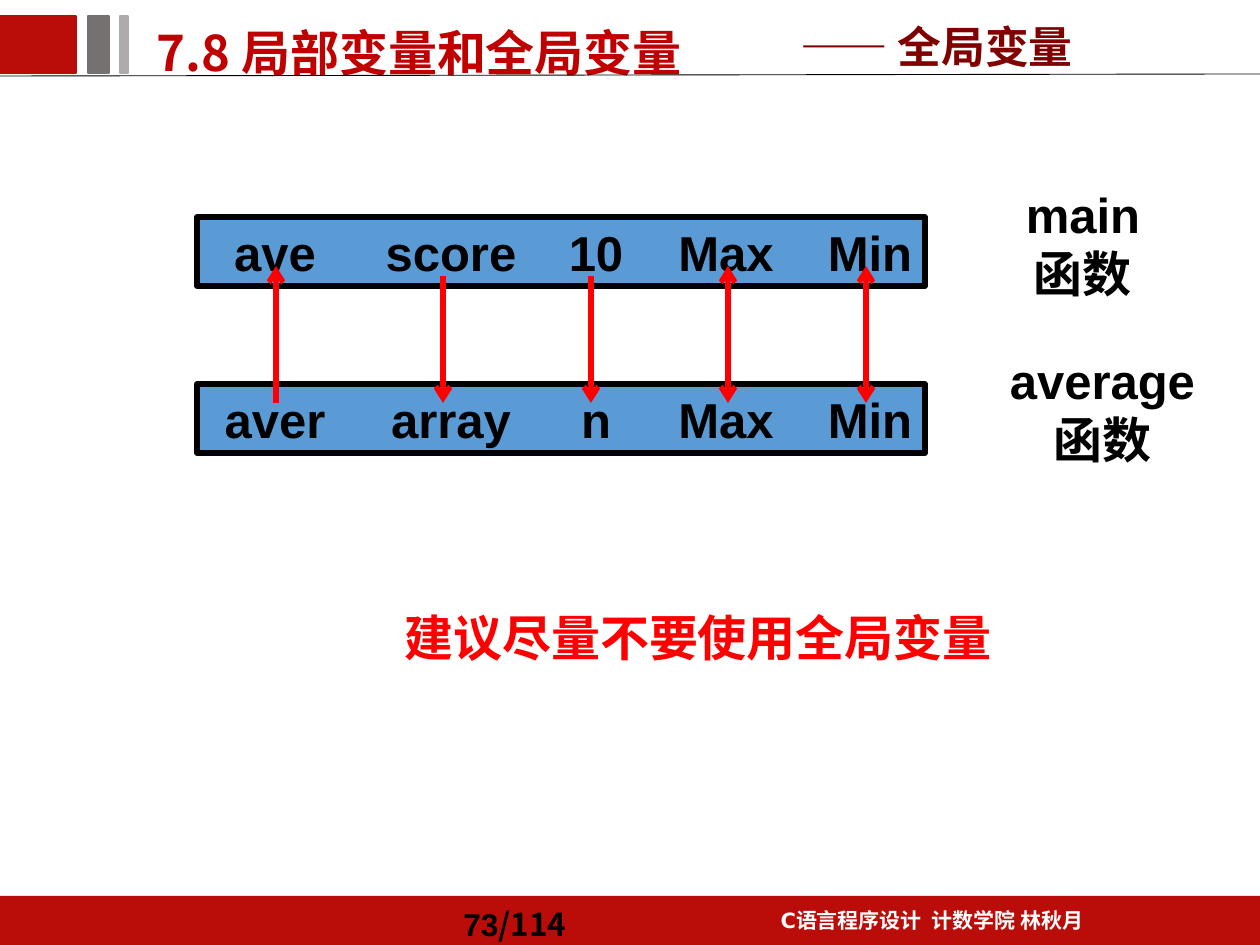
"""Build the slide on local and global variables, with the parameter passing diagram."""
from lxml import etree
from pptx import Presentation
from pptx.dml.color import RGBColor
from pptx.enum.shapes import MSO_CONNECTOR, MSO_SHAPE
from pptx.enum.text import MSO_ANCHOR, MSO_AUTO_SIZE, PP_ALIGN
from pptx.oxml.ns import qn
from pptx.util import Emu, Pt

RECTANGLE, PROCESS = MSO_SHAPE.RECTANGLE, MSO_SHAPE.FLOWCHART_PROCESS
STRAIGHT, NO_FIT = MSO_CONNECTOR.STRAIGHT, MSO_AUTO_SIZE.NONE
TOP, MIDDLE, BOTTOM = MSO_ANCHOR.TOP, MSO_ANCHOR.MIDDLE, MSO_ANCHOR.BOTTOM
LEFT, CENTER = PP_ALIGN.LEFT, PP_ALIGN.CENTER
EMU_PER_PX = 914400 // 126

COLORS = {"brand": "BA0D09", "title": "C00000", "subtitle": "800000", "accent": "FF0000",
          "dark_gray": "767171", "light_gray": "AFABAB", "box": "5B9BD5",
          "black": "000000", "white": "FFFFFF"}
CJK_FONT = "Noto Sans CJK SC"

TITLE = ("7.8 局部变量和全局变量", (144, 4, 699, 84),
         {"size": 28, "color": "title", "font": CJK_FONT, "line_spacing": 1.2})
TEXTS = [
    ([[("C", "DejaVu Sans"), ("语言程序设计  计数学院 林秋月", "Arial")]], (709, 896, 446, 43),
     {"size": 12, "color": "white", "align": CENTER, "line_spacing": 1.2}),
    ([[("73", "Arial"), ("/114", CJK_FONT)]], (451, 896, 179, 49),
     {"size": 18, "anchor": MIDDLE, "line_spacing": 1.2}),
    ([[("main", "Arial")], [("函数", "Arial")]], (994, 178, 178, 131), {"align": CENTER}),
    ([[("average", "Arial")], [("函数", "Arial")]], (994, 344, 217, 131), {"align": CENTER}),
    ([[("建议尽量不要使用全局变量", "Arial")]], (392, 601, 651, 72), {"color": "accent"}),
    ([[("—— 全局变量", "Arial")]], (788, 13, 472, 66),
     {"size": 25, "color": "subtitle", "anchor": BOTTOM}),
]
BLOCKS = [((0, 896, 1260, 49), "brand", None), ((0, 16, 76, 57), "brand", "brand"),
          ((88, 16, 21, 57), "dark_gray", "dark_gray"),
          ((120, 16, 8, 57), "light_gray", "light_gray")]
ROW_LEFT, ROW_WIDTH, ROW_HEIGHT = 197, 728, 69
ROWS = [(217, ["ave", "score", "10", "Max", "Min"]),
        (384, ["aver", "array", "n", "Max", "Min"])]
WORD_CENTERS = [275, 451, 596, 726, 870]
ARROWS = [(276, "up"), (443, "down"), (591, "down"), (728, "both"), (866, "both")]
ARROW_TOP, ARROW_START, ARROW_BOTTOM = 266, 276, 403


def px(value):
    return Emu(value * EMU_PER_PX)


def rgb(name):
    return RGBColor.from_string(COLORS[name])


def set_values(target, values):
    for name, value in values.items():
        setattr(target, name, value)


def write_text(shape, paragraphs, size=28, color="black", align=LEFT, anchor=TOP,
               line_spacing=None):
    frame = shape.text_frame
    set_values(frame, {"word_wrap": True, "auto_size": NO_FIT, "vertical_anchor": anchor})
    for index, runs in enumerate(paragraphs):
        paragraph = frame.add_paragraph() if index else frame.paragraphs[0]
        set_values(paragraph, {"alignment": align, "line_spacing": line_spacing})
        for text, font in runs:
            run = paragraph.add_run()
            run.text = text
            set_values(run.font, {"name": font, "size": Pt(size), "bold": True})
            run.font.color.rgb = rgb(color)


def add_block(slide, kind, box, fill, line, width=1):
    shape = slide.shapes.add_shape(kind, *map(px, box))
    shape.shadow.inherit = False
    shape.fill.solid()
    shape.fill.fore_color.rgb = rgb(fill)
    if line:
        shape.line.color.rgb = rgb(line)
        shape.line.width = Pt(width)
    else:
        shape.line.fill.background()
    return shape


def add_row(slide, top, words):
    box = (ROW_LEFT, top, ROW_WIDTH, ROW_HEIGHT)
    shape = add_block(slide, PROCESS, box, "box", "black", 3)
    write_text(shape, [[("".join("\t" + word for word in words), "Arial")]], anchor=MIDDLE)
    set_values(shape.text_frame, {"margin_left": 0, "margin_right": 0})
    properties = shape.text_frame.paragraphs[0]._p.get_or_add_pPr()
    tabs = etree.SubElement(properties, qn("a:tabLst"))
    for center in WORD_CENTERS:
        etree.SubElement(tabs, qn("a:tab"), pos=str(px(center - ROW_LEFT)), algn="ctr")


def add_line(slide, start, end, color, width, arrow_ends=()):
    connector = slide.shapes.add_connector(STRAIGHT, *map(px, start + end))
    connector.line.color.rgb = rgb(color)
    connector.line.width = Pt(width)
    for arrow_end in arrow_ends:
        etree.SubElement(connector.line._get_or_add_ln(), qn("a:" + arrow_end), type="arrow")
    etree.SubElement(connector._element.spPr, qn("a:effectLst"))


def main():
    presentation = Presentation()
    set_values(presentation, {"slide_width": px(1260), "slide_height": px(945)})
    slide = presentation.slides.add_slide(presentation.slide_layouts[5])

    for box, fill, line in BLOCKS:
        add_block(slide, RECTANGLE, box, fill, line)
    add_line(slide, (0, 76), (1260, 74), "black", 0.5)

    text, box, style = TITLE
    title = slide.shapes.title
    set_values(title, dict(zip(("left", "top", "width", "height"), map(px, box))))
    style = dict(style)
    write_text(title, [[(text, style.pop("font"))]], **style)

    for top, words in ROWS:
        add_row(slide, top, words)
    for x, direction in ARROWS:
        top, bottom = (x, ARROW_TOP), (x, ARROW_BOTTOM)
        if direction == "down":
            add_line(slide, (x, ARROW_START), bottom, "accent", 3, ["tailEnd"])
        else:
            ends = ["headEnd", "tailEnd"] if direction == "both" else ["tailEnd"]
            add_line(slide, bottom, top, "accent", 3, ends)
    for paragraphs, box, style in TEXTS:
        write_text(slide.shapes.add_textbox(*map(px, box)), paragraphs, **style)

    presentation.save("out.pptx")


if __name__ == "__main__":
    main()
